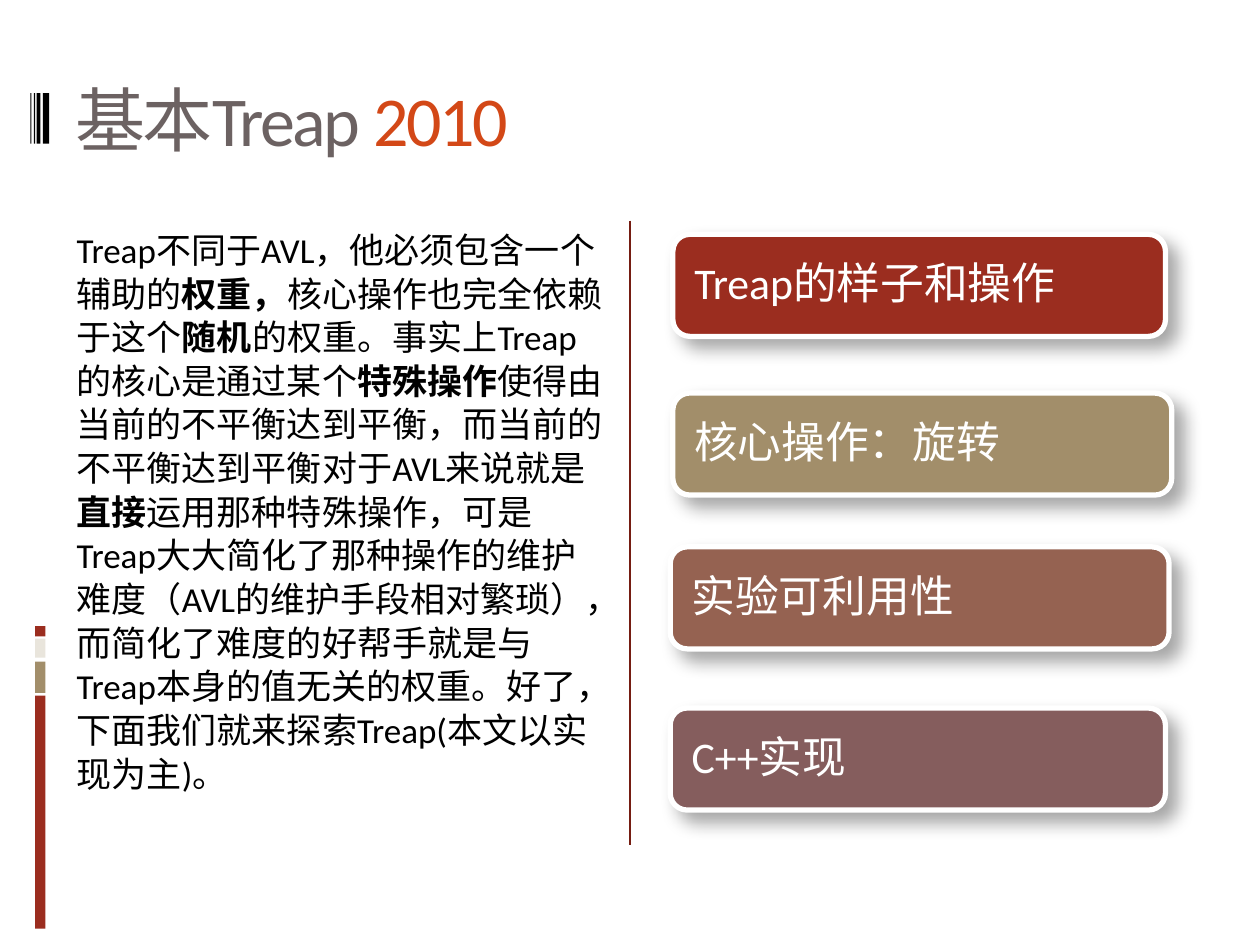
import pptx
import pptx.dml.color
import pptx.enum.shapes
import pptx.enum.text
import pptx.oxml
import pptx.oxml.ns
import pptx.util

Pt = pptx.util.Pt
RGB = pptx.dml.color.RGBColor
SHAPE = pptx.enum.shapes.MSO_SHAPE
ANCHOR = pptx.enum.text.MSO_ANCHOR
ALIGN = pptx.enum.text.PP_ALIGN

WHITE = RGB(0xFF, 0xFF, 0xFF)
BLACK = RGB(0, 0, 0)
RED = RGB(0x9B, 0x2D, 0x1F)
DARK_RED = RGB(0x75, 0x1D, 0x12)
TAN = RGB(0xA2, 0x8E, 0x6A)
CREAM = RGB(0xE9, 0xE5, 0xDC)
BROWN = RGB(0x95, 0x62, 0x51)
MAUVE = RGB(0x85, 0x5D, 0x5D)
GREY = RGB(0x6C, 0x62, 0x62)
ORANGE = RGB(0xD3, 0x48, 0x17)

BODY = [
    ("Treap不同于AVL，他必须包含一个辅助的", False),
    ("权重，", True),
    ("核心操作也完全依赖于这个", False),
    ("随机", True),
    ("的权重。事实上Treap的核心是通过某个", False),
    ("特殊操作", True),
    ("使得由当前的不平衡达到平衡，而当前的不平衡达到平衡对于AVL来说就是", False),
    ("直接", True),
    ("运用那种特殊操作，可是Treap大大简化了那种操作的维护难度（AVL的维护手段相对繁琐），"
     "而简化了难度的好帮手就是与Treap本身的值无关的权重。好了，下面我们就来探索"
     "Treap(本文以实现为主)。", False),
]

# text, left, top, width, colour
TOPICS = [
    ("Treap的样子和操作", 384.5, 133.9, 281.5, RED),
    ("核心操作：旋转", 384.5, 224.6, 285.1, TAN),
    ("实验可利用性", 383, 312.5, 285.1, BROWN),
    ("C++实现", 383, 404.6, 283, MAUVE),
]

# left, top, width, height, colour
SIDE_BARS = [
    (20.1, 397.5, 5.8, 133.2, RED),
    (20.1, 378, 5.8, 18, TAN),
    (20.1, 365, 5.8, 10.8, CREAM),
    (20.1, 357.8, 5.8, 5.8, RED),
]
BARCODE = [(24.5, 3.6), (20.9, 2.2), (19.4, 0.72), (17.3, 0.72)]  # left, width

SHADOW = (
    '<a:effectLst %s><a:outerShdw blurRad="%d" dist="%d" dir="2700000" algn="tl" '
    'rotWithShape="0"><a:srgbClr val="000000"><a:alpha val="35000"/></a:srgbClr>'
    '</a:outerShdw></a:effectLst>'
    % (pptx.oxml.ns.nsdecls("a"), Pt(10.2), Pt(8))
)


def add_text(paragraph, text, size, color, bold=False, tracking=None):
    run = paragraph.add_run()
    run.text = text
    run.font.name = "Calibri"
    run.font.size = Pt(size)
    run.font.color.rgb = color
    run.font.bold = bold
    if tracking is not None:
        run.font._element.set("spc", str(round(tracking * 100)))


def place(shape, left, top, width, height):
    shape.left, shape.top = Pt(left), Pt(top)
    shape.width, shape.height = Pt(width), Pt(height)


def add_bar(slide, left, top, width, height, color, kind=SHAPE.RECTANGLE):
    bar = slide.shapes.add_shape(kind, Pt(left), Pt(top), Pt(width), Pt(height))
    bar.shadow.inherit = False
    bar.fill.solid()
    bar.fill.fore_color.rgb = color
    bar.line.fill.background()
    return bar


def add_divider(slide, x, top, bottom):
    divider = slide.shapes.add_connector(
        pptx.enum.shapes.MSO_CONNECTOR.STRAIGHT, Pt(x), Pt(top), Pt(x), Pt(bottom))
    divider.line.color.rgb = DARK_RED
    divider.line.width = Pt(0.75)
    divider._element.spPr.append(
        pptx.oxml.parse_xml("<a:effectLst %s/>" % pptx.oxml.ns.nsdecls("a")))


def add_title(slide):
    title = slide.shapes.title
    place(title, 36, 16.6, 648, 102.2)
    frame = title.text_frame
    frame.auto_size = pptx.enum.text.MSO_AUTO_SIZE.NONE
    frame.vertical_anchor = ANCHOR.MIDDLE
    paragraph = frame.paragraphs[0]
    paragraph.alignment = ALIGN.LEFT
    add_text(paragraph, "基本Treap", 40, GREY, tracking=-1.5)
    add_text(paragraph, " 2010", 40, ORANGE, tracking=-1.5)


def add_body(slide):
    body = slide.shapes.add_textbox(Pt(36.7), Pt(126), Pt(318.2), Pt(356.4))
    body.text_frame.word_wrap = True
    paragraph = body.text_frame.paragraphs[0]
    paragraph.line_spacing = 1.04
    for text, bold in BODY:
        add_text(paragraph, text, 20, BLACK, bold=bold)


def add_topic(slide, text, left, top, width, color):
    topic = add_bar(slide, left, top, width, 58.3, color, SHAPE.ROUNDED_RECTANGLE)
    topic.line.color.rgb = WHITE
    topic.line.width = Pt(3)
    properties = topic._element.spPr
    properties.remove(properties.find(pptx.oxml.ns.qn("a:effectLst")))
    properties.append(pptx.oxml.parse_xml(SHADOW))
    frame = topic.text_frame
    frame.word_wrap = True
    frame.vertical_anchor = ANCHOR.MIDDLE
    frame.margin_left = frame.margin_right = Pt(9.4)
    frame.margin_top = frame.margin_bottom = 0
    paragraph = frame.paragraphs[0]
    paragraph.alignment = ALIGN.LEFT
    paragraph.line_spacing = 0.9
    add_text(paragraph, text, 25, WHITE)


def main():
    deck = pptx.Presentation()
    deck.slide_width, deck.slide_height = Pt(720), Pt(540)
    slide = deck.slides.add_slide(deck.slide_layouts[5])
    for side_bar in SIDE_BARS:
        add_bar(slide, *side_bar)
    for left, width in BARCODE:
        add_bar(slide, left, 53.3, width, 28.8, BLACK)
    add_divider(slide, 360, 126, 483.1)
    add_title(slide)
    add_body(slide)
    for topic in TOPICS:
        add_topic(slide, *topic)
    deck.save("out.pptx")


if __name__ == "__main__":
    main()
